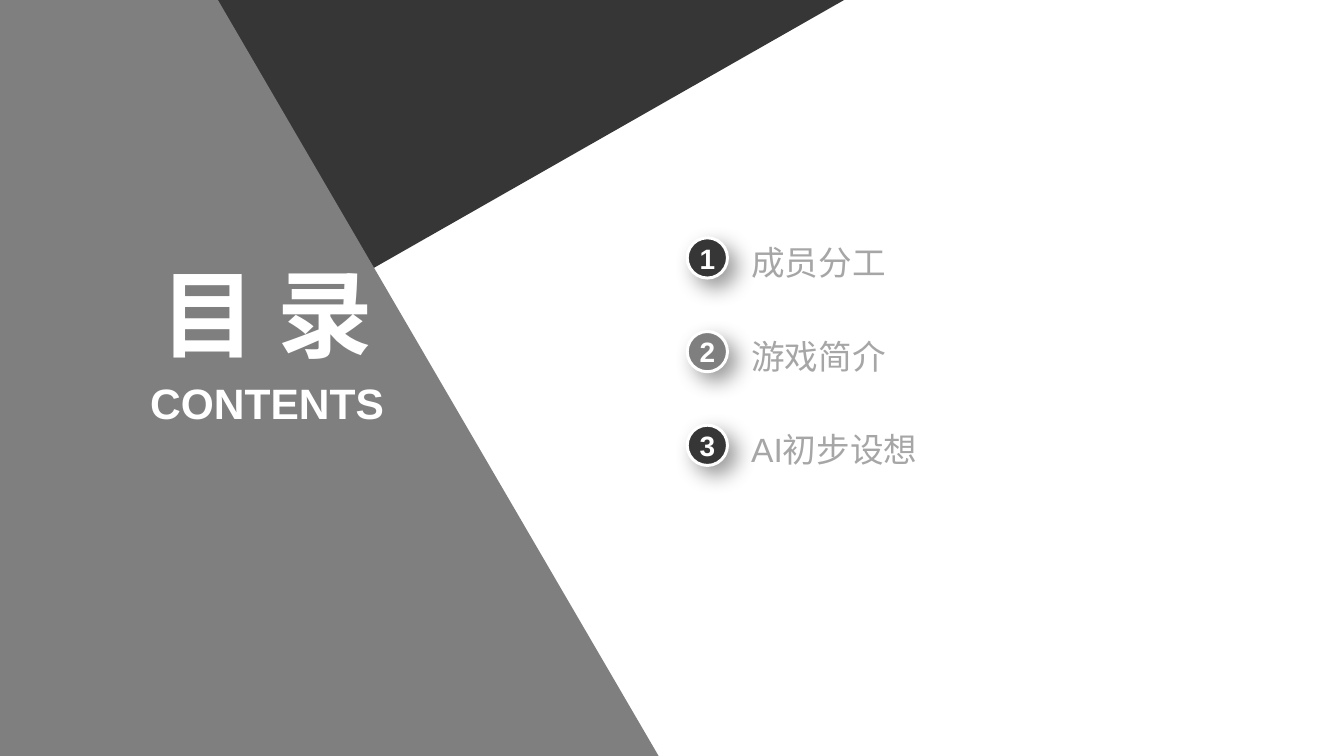
import pptx
import pptx.dml.color
import pptx.enum.shapes
import pptx.enum.text
import pptx.oxml
import pptx.oxml.ns
import pptx.util

Cm = pptx.util.Cm
Pt = pptx.util.Pt
RGBColor = pptx.dml.color.RGBColor
ALIGN = pptx.enum.text.PP_ALIGN
ANCHOR = pptx.enum.text.MSO_ANCHOR

DARK = RGBColor(0x36, 0x36, 0x36)
GREY = RGBColor(0x7F, 0x7F, 0x7F)
LIGHT = RGBColor(0xA6, 0xA6, 0xA6)
WHITE = RGBColor(0xFF, 0xFF, 0xFF)

WIDTH, HEIGHT = 35.71, 20.09
TOPICS = ["成员分工", "游戏简介", "AI初步设想"]
TOPIC_TOP, TOPIC_STEP = 6.32, 2.49

SHADOW = (
    '<a:outerShdw %s blurRad="%d" dist="%d" dir="2700000" algn="tl" rotWithShape="0">'
    '<a:srgbClr val="000000"><a:alpha val="40000"/></a:srgbClr></a:outerShdw>'
    % (pptx.oxml.ns.nsdecls("a"), Pt(16), Pt(9))
)


def write(tf, text, size, color, font="Arial", bold=False, align=ALIGN.LEFT, anchor=ANCHOR.MIDDLE):
    tf.word_wrap = True
    tf.vertical_anchor = anchor
    tf.margin_left = tf.margin_right = tf.margin_top = tf.margin_bottom = 0
    p = tf.paragraphs[0]
    p.alignment = align
    r = p.add_run()
    r.text = text
    r.font.name = font
    r.font.size = Pt(size)
    r.font.bold = bold
    r.font.color.rgb = color


class Deck:
    def __init__(self, width, height, font):
        self.font = font
        self.prs = pptx.Presentation()
        self.prs.slide_width = Cm(width)
        self.prs.slide_height = Cm(height)
        self.s = self.prs.slides.add_slide(self.prs.slide_layouts[6])

    def panel(self, points, color):
        start, *rest = [(Cm(x), Cm(y)) for x, y in points]
        builder = self.s.shapes.build_freeform(*start)
        builder.add_line_segments(rest, close=True)
        sp = builder.convert_to_shape()
        sp.shadow.inherit = False
        sp.fill.solid()
        sp.fill.fore_color.rgb = color
        sp.line.fill.background()

    def badge(self, x, y, size, number, color):
        sp = self.s.shapes.add_shape(
            pptx.enum.shapes.MSO_SHAPE.OVAL, Cm(x), Cm(y), Cm(size), Cm(size))
        sp.fill.solid()
        sp.fill.fore_color.rgb = color
        sp.line.color.rgb = WHITE
        sp.line.width = Pt(2.25)
        sp.shadow.inherit = False
        effects = sp._element.spPr.find(pptx.oxml.ns.qn("a:effectLst"))
        effects.append(pptx.oxml.parse_xml(SHADOW))
        write(sp.text_frame, str(number), 21.1, WHITE, font=self.font, bold=True, align=ALIGN.CENTER)

    def text(self, x, y, w, h, text, size, color, **style):
        sp = self.s.shapes.add_textbox(Cm(x), Cm(y), Cm(w), Cm(h))
        write(sp.text_frame, text, size, color, font=self.font, **style)


def main():
    deck = Deck(WIDTH, HEIGHT, "Arial")
    deck.panel([(0, 0), (22.43, 0), (0, 12.78)], DARK)
    deck.panel([(0, 0), (5.79, 0), (17.5, HEIGHT), (0, HEIGHT)], GREY)
    for i, topic in enumerate(TOPICS):
        top = TOPIC_TOP + i * TOPIC_STEP
        deck.badge(18.26, top, 1.07, i + 1, GREY if i % 2 else DARK)
        deck.text(19.96, top + 0.1, 6.25, 1.09, topic, 25.3, LIGHT)
    deck.text(3.45, 6.76, 7.29, 3.07, "目 录", 72, WHITE, bold=True, align=ALIGN.CENTER)
    deck.text(3.86, 10.03, 6.48, 1.37, "CONTENTS", 32, WHITE,
              bold=True, align=ALIGN.CENTER, anchor=ANCHOR.TOP)
    deck.prs.save("out.pptx")


if __name__ == "__main__":
    main()
